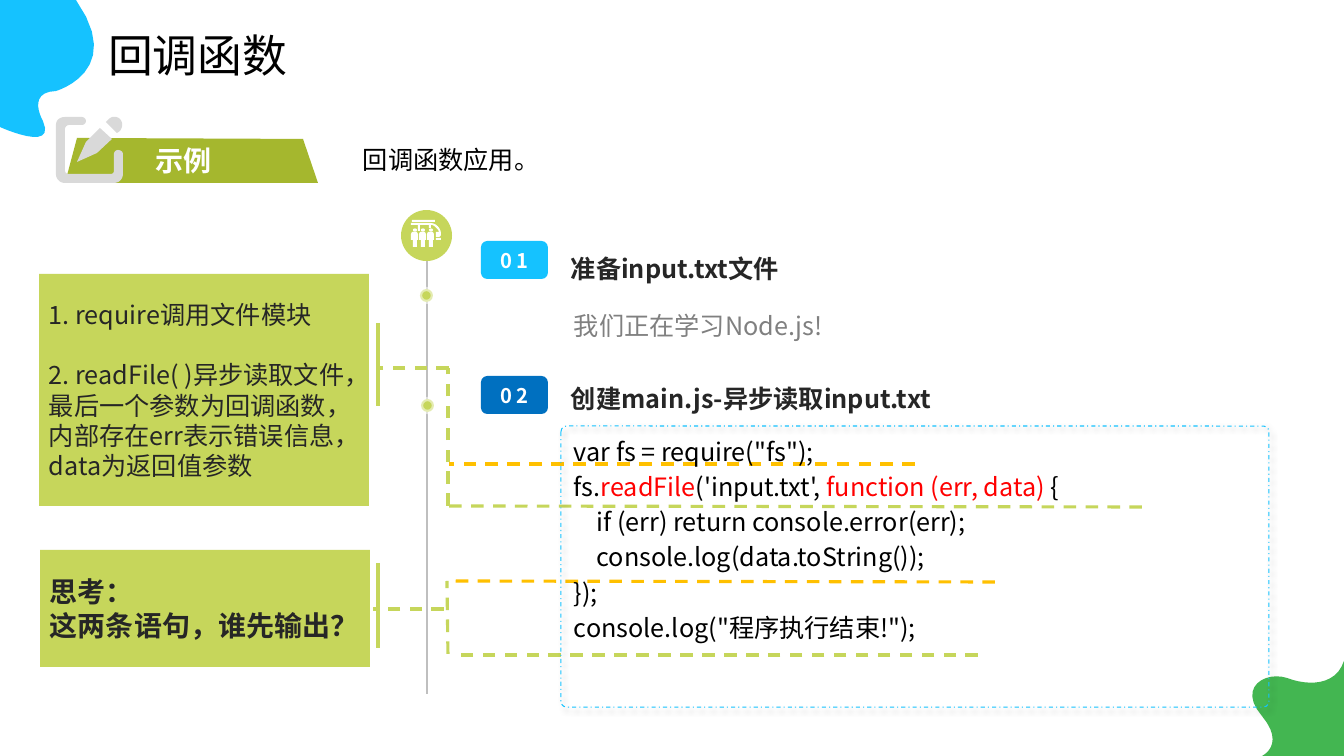
from pptx import Presentation
from pptx.dml.color import RGBColor
from pptx.enum.dml import MSO_LINE
from pptx.enum.shapes import MSO_CONNECTOR, MSO_SHAPE
from pptx.enum.text import MSO_ANCHOR, MSO_AUTO_SIZE, PP_ALIGN
from pptx.oxml.ns import qn
from pptx.util import Pt
from lxml.etree import SubElement

PX = 914400 / 100.8
FONT = "Noto Sans CJK SC"
LIME, SKY, AMBER, INK = "C6D65B", "15C2FF", "FFC000", "262626"
BLACK, WHITE, RED = "000000", "FFFFFF", "FF0000"


def px(*lengths):
    """Turn pixel lengths into EMU."""
    return [round(n * PX) for n in lengths]


def rgb(value):
    """Turn a hex string into a colour."""
    return RGBColor.from_string(value)


def style_run(r, size, color, bold=False, spacing=None):
    """Format one run for both Latin and Chinese text."""
    r.font.size, r.font.bold, r.font.name = Pt(size), bold, FONT
    r.font.color.rgb = rgb(color)
    rpr = r._r.get_or_add_rPr()
    SubElement(rpr, qn("a:ea")).set("typeface", FONT)
    if spacing:
        rpr.set("spc", str(spacing))


def write(tf, lines, size, color, bold=False, align=PP_ALIGN.LEFT,
          line=None, gap=0, spacing=None):
    """Fill a text frame; a line is a string or a list of (text, colour)."""
    for i, content in enumerate(lines):
        p = tf.paragraphs[0] if i == 0 else tf.add_paragraph()
        parts = [(content, color)] if isinstance(content, str) else content
        for text, tint in parts:
            r = p.add_run()
            r.text = text
            style_run(r, size, tint, bold, spacing)
        p.alignment = align
        if line:
            p.line_spacing = line
        if i and gap:
            p.space_before = Pt(gap)


def add_text(s, box, lines, size, color, wrap=True, **style):
    """Add a text box."""
    tf = s.shapes.add_textbox(*px(*box)).text_frame
    tf.word_wrap = wrap
    tf.auto_size = MSO_AUTO_SIZE.SHAPE_TO_FIT_TEXT
    write(tf, lines, size, color, **style)


def add_block(s, kind, box, fill=None):
    """Add a preset shape without line or shadow."""
    sp = s.shapes.add_shape(kind, *px(*box))
    sp.shadow.inherit = False
    if fill:
        sp.fill.solid()
        sp.fill.fore_color.rgb = rgb(fill)
    else:
        sp.fill.background()
    sp.line.fill.background()
    sp.text_frame.word_wrap = True
    sp.text_frame.vertical_anchor = MSO_ANCHOR.MIDDLE
    return sp


def add_line(s, ends, color, width=2.25, dashed=False):
    """Add a straight line."""
    c = s.shapes.add_connector(MSO_CONNECTOR.STRAIGHT, *px(*ends))
    c.line.color.rgb = rgb(color)
    c.line.width = Pt(width)
    if dashed:
        c.line.dash_style = MSO_LINE.DASH
    SubElement(c._element.spPr, qn("a:effectLst"))


def trace(contour):
    """Turn 'x y L x y C x y x y x y' into points, sampling the curves."""
    steps = contour.replace("L", "|L").replace("C", "|C").split("|")
    points = [tuple(map(int, steps[0].split()))]
    for step in steps[1:]:
        n = list(map(int, step[1:].split()))
        if step[0] == "L":
            points.append(tuple(n))
            continue
        curve = [points[-1], *zip(n[::2], n[1::2])]
        for t in (k / 12 for k in range(1, 13)):
            weights = ((1 - t) ** 3, 3 * t * (1 - t) ** 2, 3 * t * t * (1 - t), t ** 3)
            points.append(tuple(sum(w * q[a] for w, q in zip(weights, curve)) for a in (0, 1)))
    return [px(*point) for point in points]


def add_outline(s, contours, fill, left=0, top=0):
    """Add a filled freeform made of closed contours, moved to left and top."""
    (dx, dy), builder = px(left, top), None
    for contour in contours:
        points = [(x + dx, y + dy) for x, y in trace(contour)]
        if builder is None:
            builder = s.shapes.build_freeform(*points[0])
        else:
            builder.move_to(*points[0])
        builder.add_line_segments(points[1:], close=True)
    sp = builder.convert_to_shape()
    sp.shadow.inherit = False
    sp.fill.solid()
    sp.fill.fore_color.rgb = rgb(fill)
    sp.line.fill.background()


def add_title(s, box, text):
    """Place and format the title."""
    sp = s.shapes.title
    sp.left, sp.top, sp.width, sp.height = px(*box)
    tf = sp.text_frame
    tf.word_wrap, tf.vertical_anchor = False, MSO_ANCHOR.TOP
    tf.auto_size = MSO_AUTO_SIZE.SHAPE_TO_FIT_TEXT
    write(tf, [text], 32, BLACK)


def add_corners(s, width, height):
    """Draw the blobs in the top left and bottom right corners."""
    add_outline(s, ["0 127 C 0 127 57 153 43 121 C 43 121 26 92 56 91"
                    " C 56 91 126 71 76 0 L 0 0"], SKY)
    add_outline(s, ["-82 0 C -82 0 -58 -11 -82 -40 C -107 -69 -78 -85 -57 -78"
                    " C -36 -70 -8 -70 0 -95 L 0 0"], "43B651", width, height)


def add_banner(s, x, y):
    """Draw the example banner with its pencil icon and caption."""
    add_outline(s, ["21 21 L 247 22 L 262 66 L 9 66"], "A5B72E", x, y)
    add_text(s, (x + 90, y + 22, 77, 44), ["示例"], 20, WHITE, wrap=False, bold=True)
    add_outline(s, [
        "64 14 L 61 16 L 50 5 L 53 2 C 56 -1 61 -1 64 2 C 67 5 67 10 64 14",
        "56 22 L 41 36 L 21 45 L 30 25 L 44 11",
        "26 8 L 13 8 C 11 8 9 10 9 12 L 9 53 C 9 56 11 57 13 57 L 54 57"
        " C 57 57 58 56 58 53 L 58 37 C 58 35 60 33 62 33 C 65 33 67 35 67 37"
        " L 67 57 C 67 62 63 66 58 66 L 9 66 C 4 66 0 62 0 57 L 0 8"
        " C 0 3 4 0 9 0 L 26 0 C 28 0 30 2 30 4 C 30 6 28 8 26 8"], "D9D9D9", x, y)
    add_text(s, (x + 297, y + 22, 781, 40), ["回调函数应用。"], 18, BLACK)


def add_timeline(s, x, y):
    """Draw the vertical line with its dots and the train icon on top."""
    add_line(s, (x + 26, y + 46, x + 26, y + 484), "BFBFBF", 1.75)
    for dx, dy in ((19, 79), (20, 189)):
        dot = add_block(s, MSO_SHAPE.OVAL, (x + dx, y + dy, 13, 13), LIME)
        dot.line.color.rgb, dot.line.width = rgb(WHITE), Pt(3)
        tint = dot.line._ln.find(".//" + qn("a:srgbClr"))
        SubElement(tint, qn("a:alpha")).set("val", "53000")
    add_block(s, MSO_SHAPE.OVAL, (x, y, 51, 51), LIME)
    train = ["1 0 L 24 0 L 24 2 L 1 2",
             "0 3 L 19 3 C 25 3 30 8 30 14 C 30 16 29 17 27 17 L 25 17 L 25 12"
             " L 28 12 C 28 10 23 5 21 5 L 20 5 L 20 8 L 18 8 L 18 5 L 9 5"
             " L 9 11 L 7 11 L 7 5 L 0 5",
             "25 18 L 30 18 L 30 20 L 25 20"]
    for a in (0, 8, 16):
        train.append(f"{a + 2} 10 C {a + 2} 8 {a + 6} 8 {a + 6} 10"
                     f" C {a + 6} 12 {a + 2} 12 {a + 2} 10")
        train.append(f"{a + 1} 12 L {a + 6} 12 L {a + 7} 14 L {a + 7} 20 L {a + 6} 20"
                     f" L {a + 6} 27 L {a + 2} 27 L {a + 2} 20 L {a} 20 L {a} 14")
    add_outline(s, train, WHITE, x + 10, y + 10)


def add_note(s, box, lines, size, links, bar, **style):
    """Add a green note with its bar and dashed links, relative to the box."""
    x, y = box[:2]
    sp = add_block(s, MSO_SHAPE.RECTANGLE, box, LIME)
    write(sp.text_frame, lines, size, INK, **style)
    for (x1, y1, x2, y2), color in links:
        add_line(s, (x + x1, y + y1, x + x2, y + y2), color, dashed=True)
    x1, y1, y2 = bar
    add_line(s, (x + x1, y + y1, x + x1, y + y2), LIME)


def add_step(s, x, y, number, fill, heading, drop):
    """Add a numbered badge, lowered by drop, with its heading."""
    add_text(s, (x + 80, y, 748, 55), [heading], 18, INK, bold=True, line=1.5)
    badge = add_block(s, MSO_SHAPE.ROUNDED_RECTANGLE, (x, y + drop, 67, 38), fill)
    write(badge.text_frame, [number], 14.4, WHITE, bold=True,
          align=PP_ALIGN.CENTER, spacing=300)


def add_code(s, box, lines):
    """Add the code text inside a dash-dot frame with a soft shadow."""
    x, y, w, h = box
    add_text(s, (x + 3, y + 5, 717, 224), lines, 18, BLACK, gap=3.6)
    frame = add_block(s, MSO_SHAPE.ROUNDED_RECTANGLE, box)
    frame.adjustments[0] = 0.02
    frame.line.color.rgb, frame.line.width = rgb(SKY), Pt(0.75)
    frame.line.dash_style = MSO_LINE.DASH_DOT
    effects = frame._element.spPr.find(qn("a:effectLst"))
    shadow = SubElement(effects, qn("a:outerShdw"), blurRad=str(Pt(4)),
                        dist=str(Pt(3)), dir="2700000", algn="tl", rotWithShape="0")
    tint = SubElement(shadow, qn("a:srgbClr"), val=BLACK)
    SubElement(tint, qn("a:alpha"), val="40000")


def main():
    """Build the slide and save it."""
    prs = Presentation()
    prs.slide_width, prs.slide_height = px(1344, 756)
    s = prs.slides.add_slide(prs.slide_layouts[5])
    add_corners(s, 1344, 756)
    add_title(s, (98, 23, 200, 65), "回调函数")
    add_step(s, 481, 233, "01", SKY, "准备input.txt文件", 8)
    add_text(s, (564, 290, 717, 55), ["我们正在学习Node.js!"], 18, "808080", line=1.5)
    add_timeline(s, 401, 210)
    add_note(s, (39, 274, 330, 232),
             ["1. require调用文件模块",
              "2. readFile( )异步读取文件，最后一个参数为回调函数，内部存在err表示错误信息，data为返回值参数"],
             18, [((1103, 233, 409, 232), LIME), ((409, 232, 409, 94), LIME),
                  ((410, 94, 339, 94), LIME), ((876, 190, 410, 190), AMBER)],
             (339, 49, 132), gap=21.6)
    add_note(s, (40, 550, 330, 117), ["思考：", "这两条语句，谁先输出？"],
             20, [((938, 105, 413, 105), LIME), ((408, 104, 407, 31), LIME),
                  ((404, 59, 333, 59), LIME), ((955, 32, 408, 31), AMBER)],
             (338, 13, 98), bold=True)
    add_step(s, 481, 363, "02", "0070C0", "创建main.js-异步读取input.txt", 13)
    add_code(s, (561, 426, 708, 281), [
        'var fs = require("fs");',
        [("fs.", BLACK), ("readFile", RED), ("('input.txt', ", BLACK),
         ("function (err, data)", RED), (" {", BLACK)],
        "    if (err) return console.error(err);",
        "    console.log(data.toString());",
        "});",
        'console.log("程序执行结束!");'])
    add_banner(s, 56, 117)
    prs.save("out.pptx")


if __name__ == "__main__":
    main()
